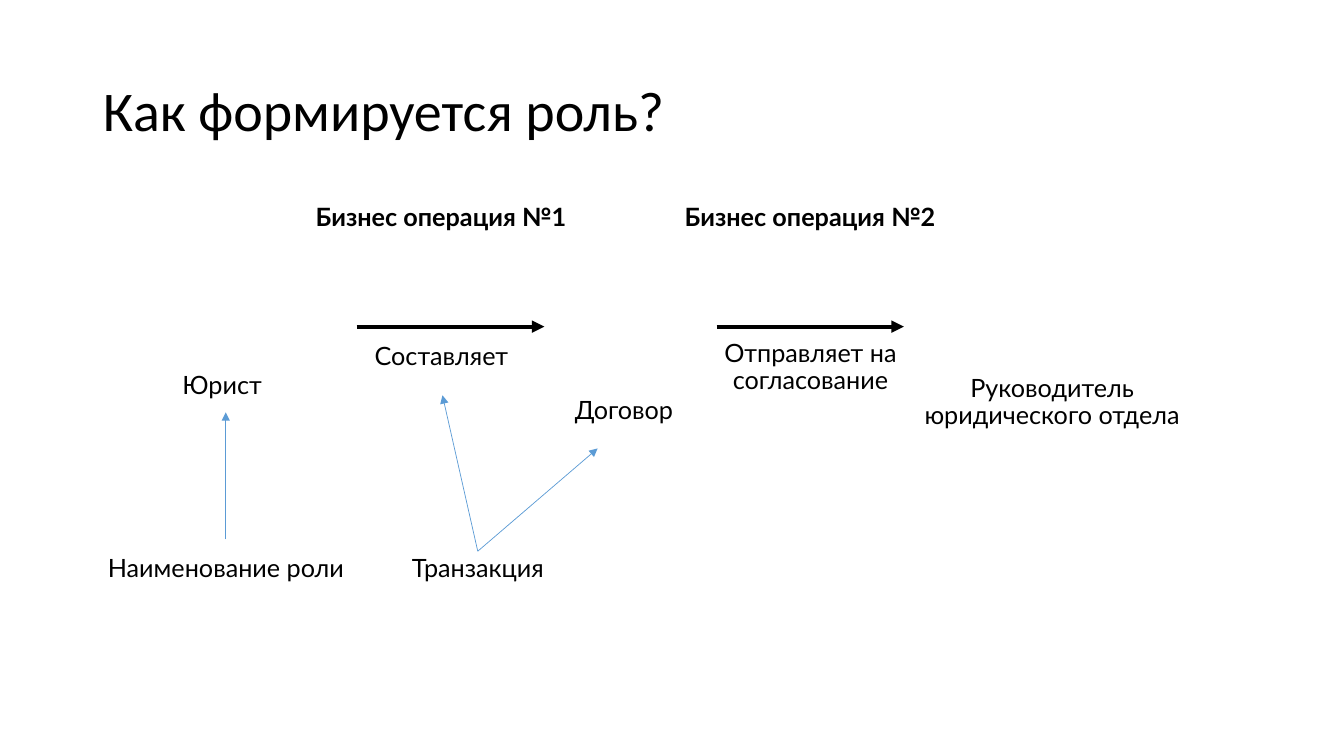
import pptx
import pptx.util
import pptx.dml.color
import pptx.enum.shapes
import pptx.enum.text
import pptx.oxml.ns
import lxml.etree

Cm = pptx.util.Cm
ALIGN = pptx.enum.text.PP_ALIGN
ANCHOR = pptx.enum.text.MSO_ANCHOR
AUTO_SIZE = pptx.enum.text.MSO_AUTO_SIZE
BLACK = "000000"
BLUE = "5B9BD5"


def color(value):
    return pptx.dml.color.RGBColor.from_string(value)


def format_text(frame, align, font_format):
    for para in frame.paragraphs:
        para.alignment = align
        para.line_spacing = 0.9
        for span in para.runs:
            span.font.color.rgb = color(BLACK)
            for name, value in font_format.items():
                setattr(span.font, name, value)


deck = pptx.Presentation()
deck.slide_width = Cm(33.87)
deck.slide_height = Cm(19.05)
page = deck.slides.add_slide(deck.slide_layouts[5])

title = page.shapes.title
title_place = {"left": Cm(2.34), "top": Cm(1.02), "width": Cm(29.21), "height": Cm(3.68)}
for name, value in title_place.items():
    setattr(title, name, value)
title.text_frame.text = "Как формируется роль?"
title.text_frame.vertical_anchor = ANCHOR.MIDDLE
title.text_frame.auto_size = AUTO_SIZE.NONE
format_text(title.text_frame, ALIGN.LEFT, {"name": "Calibri", "size": pptx.util.Pt(40)})

label_font = {"name": "Lato", "size": pptx.util.Pt(18)}

for number, left in enumerate((6.91, 16.21), start=1):
    box = page.shapes.add_textbox(Cm(left), Cm(4.5), Cm(8.41), Cm(2))
    frame = box.text_frame
    frame.word_wrap = True
    frame.vertical_anchor = ANCHOR.MIDDLE
    frame.text = f"Бизнес операция №{number}"
    format_text(frame, ALIGN.CENTER, {**label_font, "bold": True})

labels = [
    ("Юрист", 3.43, 9.27, 4.34, 0.94),
    ("Составляет", 7.44, 8.53, 7.37, 0.94),
    ("Договор", 12.04, 9.91, 7.37, 0.94),
    ("Отправляет на согласование", 16.74, 8.46, 7.37, 1.65),
    ("Руководитель\nюридического отдела", 22.83, 9.35, 7.37, 1.65),
    ("Наименование роли", 2.01, 13.89, 7.37, 0.94),
    ("Транзакция", 8.36, 13.89, 7.37, 0.94),
]
for text, *place in labels:
    box = page.shapes.add_textbox(*map(Cm, place))
    frame = box.text_frame
    frame.word_wrap = True
    frame.auto_size = AUTO_SIZE.SHAPE_TO_FIT_TEXT
    frame.text = text
    format_text(frame, ALIGN.CENTER, label_font)

arrows = [
    (8.99, 8.23, 13.72, 8.23, BLACK, 3),
    (18.06, 8.23, 22.78, 8.23, BLACK, 3),
    (5.69, 13.59, 5.69, 10.39, BLUE, 0.5),
    (12.04, 13.89, 11.15, 9.96, BLUE, 0.5),
    (12.04, 13.89, 15.06, 11.3, BLUE, 0.5),
]
for *ends, line_color, weight in arrows:
    arrow = page.shapes.add_connector(
        pptx.enum.shapes.MSO_CONNECTOR.STRAIGHT, *map(Cm, ends)
    )
    arrow.line.color.rgb = color(line_color)
    arrow.line.width = pptx.util.Pt(weight)
    outline = arrow.line._get_or_add_ln()
    lxml.etree.SubElement(outline, pptx.oxml.ns.qn("a:tailEnd"), type="triangle")
    lxml.etree.SubElement(outline.getparent(), pptx.oxml.ns.qn("a:effectLst"))

deck.save("out.pptx")
